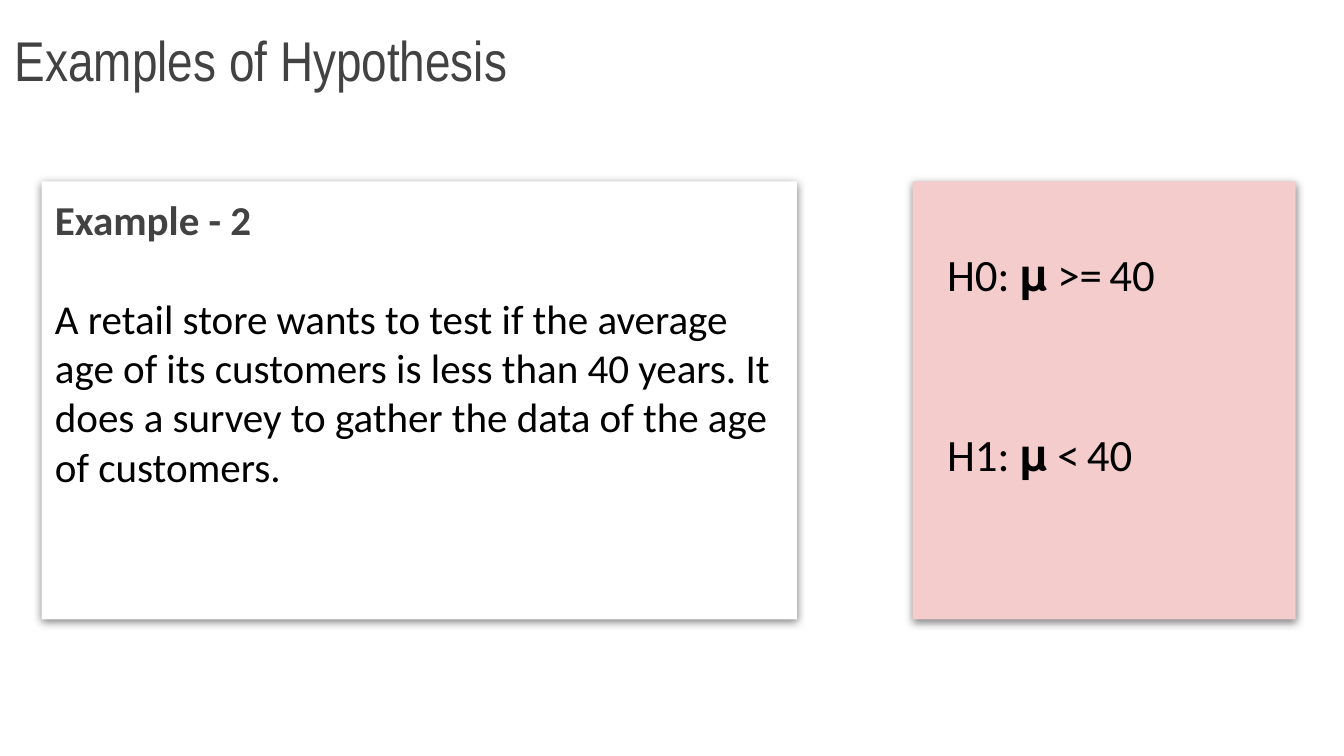
"""Build the slide with a retail hypothesis example and its two hypotheses."""
from dataclasses import dataclass

import lxml.etree
import pptx
import pptx.dml.color
import pptx.enum.shapes
import pptx.enum.text
import pptx.oxml
import pptx.oxml.ns
import pptx.util
from pptx.util import Cm

WHITE = pptx.dml.color.RGBColor(0xFF, 0xFF, 0xFF)
PINK = pptx.dml.color.RGBColor(0xF4, 0xCC, 0xCC)
GREY = pptx.dml.color.RGBColor(0x42, 0x42, 0x42)
BLACK = pptx.dml.color.RGBColor(0, 0, 0)

CARD_TOP, CARD_HEIGHT = Cm(3.43), Cm(8.28)
INSET = Cm(0.25)
SHADOW = (
    f'<a:outerShdw {pptx.oxml.ns.nsdecls("a")} blurRad="57150" dist="19050" '
    'dir="5400000" algn="bl" rotWithShape="0"><a:srgbClr val="000000">'
    '<a:alpha val="50000"/></a:srgbClr></a:outerShdw>'
)


@dataclass(frozen=True)
class Card:
    left: int
    width: int
    fill: pptx.dml.color.RGBColor


@dataclass(frozen=True)
class Hypothesis:
    top: int
    statement: str
    value: str


EXAMPLE_CARD = Card(Cm(0.79), Cm(14.27), WHITE)
ANSWER_CARD = Card(Cm(17.25), Cm(7.24), PINK)
HYPOTHESES = (
    Hypothesis(Cm(4.42), "H0: 𝛍 >=", "40"),
    Hypothesis(Cm(7.82), "H1: 𝛍 <", "40"),
)


def add_span(para, text: str, *, size: float, color=BLACK,
             font: str = "Calibri", bold: bool = False) -> None:
    span = para.add_run()
    span.text = text
    span.font.size = pptx.util.Pt(size)
    span.font.name = font
    span.font.bold = bold
    span.font.color.rgb = color


def prepare_frame(frame, anchor=pptx.enum.text.MSO_ANCHOR.TOP):
    frame.word_wrap = True
    frame.auto_size = pptx.enum.text.MSO_AUTO_SIZE.NONE
    frame.vertical_anchor = anchor
    frame.margin_left = frame.margin_right = INSET
    frame.margin_top = frame.margin_bottom = INSET
    para = frame.paragraphs[0]
    para.alignment = pptx.enum.text.PP_ALIGN.LEFT
    return para


def add_card(page, card: Card):
    box = page.shapes.add_shape(
        pptx.enum.shapes.MSO_SHAPE.RECTANGLE,
        card.left, CARD_TOP, card.width, CARD_HEIGHT)
    box.fill.solid()
    box.fill.fore_color.rgb = card.fill
    box.line.fill.background()
    box.shadow.inherit = False
    effects = box._element.spPr.find(pptx.oxml.ns.qn("a:effectLst"))
    effects.append(lxml.etree.fromstring(SHADOW))
    return box


def add_hypothesis(page, hypothesis: Hypothesis) -> None:
    box = page.shapes.add_textbox(Cm(17.65), hypothesis.top, Cm(6.58), Cm(1.55))
    para = prepare_frame(box.text_frame)
    add_span(para, hypothesis.statement, size=24)
    add_span(para, " ", size=17)
    add_span(para, hypothesis.value, size=24)


def add_title(page, text: str) -> None:
    title = page.shapes.title
    title.left, title.top = Cm(0.03), Cm(-0.03)
    title.width, title.height = Cm(23.67), Cm(2.03)
    para = prepare_frame(title.text_frame, pptx.enum.text.MSO_ANCHOR.BOTTOM)
    add_span(para, text, size=30, color=GREY, font="Arial Narrow")


def add_example(page) -> None:
    frame = add_card(page, EXAMPLE_CARD).text_frame
    heading = prepare_frame(frame)
    add_span(heading, "Example - 2", size=22, color=GREY, bold=True)
    body = frame.add_paragraph()
    body.alignment = pptx.enum.text.PP_ALIGN.LEFT
    body.space_before = pptx.util.Pt(26.5)
    add_span(body, "A retail store wants to test if the average age of its "
                   "customers is less than 40 years. It does a survey to gather "
                   "the data of the age of customers.", size=22)


def main() -> None:
    deck = pptx.Presentation()
    deck.slide_width, deck.slide_height = Cm(25.4), Cm(14.29)
    page = deck.slides.add_slide(deck.slide_layouts.get_by_name("Title Only"))
    add_title(page, "Examples of Hypothesis")
    add_example(page)
    add_card(page, ANSWER_CARD)
    for hypothesis in HYPOTHESES:
        add_hypothesis(page, hypothesis)
    deck.save("out.pptx")


if __name__ == "__main__":
    main()
